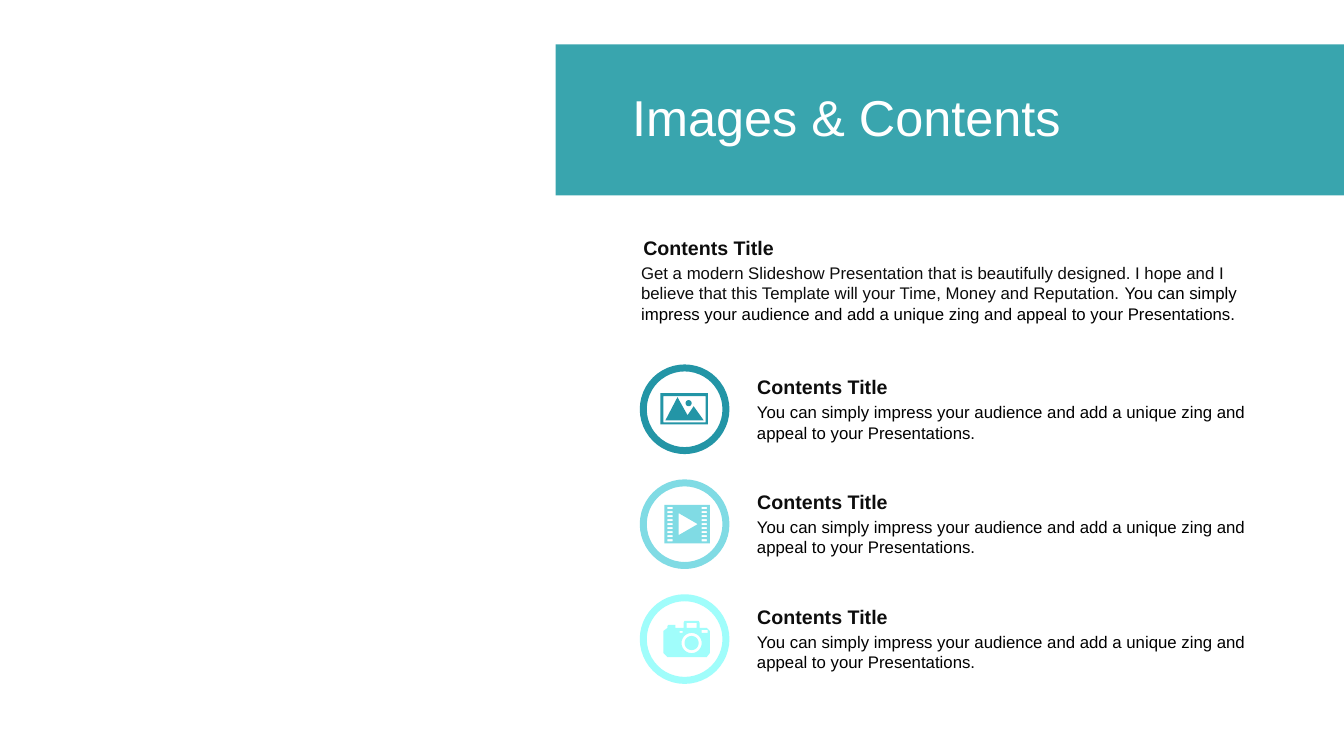
from math import cos, pi, sin

from pptx import Presentation
from pptx.dml.color import RGBColor
from pptx.enum.shapes import MSO_SHAPE
from pptx.enum.text import MSO_ANCHOR, MSO_AUTO_SIZE, PP_ALIGN
from pptx.util import Inches, Pt

COLORS = {
    "band": "39A5AE", "white": "FFFFFF", "heading": "0D0D0D", "body": "000000",
    "photo": "2395A6", "film": "80DBE4", "camera": "A0FDFB",
}
FONT = "Arial"
HEADING = "Contents Title"
INTRO = ("Get a modern Slideshow Presentation that is beautifully designed. "
         "I hope and I believe that this Template will your Time, Money and Reputation. ")
PITCH = ("You can simply impress your audience and add a unique zing "
         "and appeal to your Presentations.")
ICON_LEFT, ICON_TOP, ICON_STEP, ICON_SIZE = 6.38, 3.65, 1.14, 0.82


def rgb(name):
    """Return the palette colour with this name."""
    return RGBColor.from_string(COLORS[name])


def add_run(p, text, size, color, bold=False):
    """Add one formatted run to a paragraph."""
    r = p.add_run()
    r.text = text
    r.font.name, r.font.size, r.font.bold = FONT, Pt(size), bold
    r.font.color.rgb = rgb(color)


def add_filled(s, kind, box, fill, line=None, weight=0):
    """Add a preset shape with a flat fill and an optional outline."""
    sp = s.shapes.add_shape(kind, *map(Inches, box))
    sp.shadow.inherit = False
    sp.fill.solid()
    sp.fill.fore_color.rgb = rgb(fill)
    if line:
        sp.line.color.rgb = rgb(line)
        sp.line.width = Pt(weight)
    else:
        sp.line.fill.background()
    return sp


def add_text(s, box, runs, size, bold=False, inset=0.1):
    """Add a wrapping text box holding one paragraph of (text, color) runs."""
    tf = s.shapes.add_textbox(*map(Inches, box)).text_frame
    tf.word_wrap = True
    tf.auto_size = MSO_AUTO_SIZE.SHAPE_TO_FIT_TEXT
    tf.margin_left = tf.margin_right = Inches(inset)
    for text, color in runs:
        add_run(tf.paragraphs[0], text, size, color, bold)


def add_heading(s, left, top, width):
    """Add a bold contents heading."""
    add_text(s, (left, top, width, 0.34), [(HEADING, "heading")], 14, True, 0.12)


def add_title(s):
    """Format the title placeholder and put its band behind it."""
    title = s.shapes.title
    title.left, title.top = Inches(6.17), Inches(0.8)
    title.width, title.height = Inches(6.53), Inches(0.78)
    tf = title.text_frame
    tf.vertical_anchor = MSO_ANCHOR.MIDDLE
    p = tf.paragraphs[0]
    p.alignment, p.line_spacing = PP_ALIGN.LEFT, 0.9
    add_run(p, "Images & Contents", 36, "white")
    band = add_filled(s, MSO_SHAPE.RECTANGLE, (5.51, 0.44, 7.82, 1.5), "band")
    title.element.addprevious(band.element)


def rect(x1, y1, x2, y2):
    """Return the corners of a rectangle."""
    return [(x1, y1), (x2, y1), (x2, y2), (x1, y2)]


def circle(x, y, radius, steps=36):
    """Return points around a circle."""
    angles = [2 * pi * i / steps for i in range(steps)]
    return [(x + radius * cos(a), y + radius * sin(a)) for a in angles]


def photo_outlines():
    """Return the contours of a framed landscape."""
    mountains = [(0.34, 0.29), (0.44, 0.47), (0.5, 0.38), (0.6, 0.52), (0.22, 0.52)]
    return [rect(0.17, 0.25, 0.64, 0.56), rect(0.2, 0.28, 0.62, 0.54),
            mountains, circle(0.45, 0.35, 0.03)]


def film_outlines():
    """Return the contours of a film frame with a play mark."""
    holes = [rect(x, 0.24 + 0.04 * i, x + 0.05, 0.26 + 0.04 * i)
             for x in (0.24, 0.58) for i in range(9)]
    play = [(0.35, 0.3), (0.35, 0.52), (0.54, 0.41)]
    return [rect(0.21, 0.22, 0.66, 0.6), play, *holes]


def camera_outlines():
    """Return the contours of a camera."""
    body = [(0.41, 0.23), (0.55, 0.23), (0.56, 0.25), (0.56, 0.3), (0.63, 0.3),
            (0.66, 0.33), (0.66, 0.55), (0.63, 0.59), (0.24, 0.59), (0.2, 0.55),
            (0.2, 0.33), (0.24, 0.3), (0.24, 0.28), (0.25, 0.27), (0.32, 0.27),
            (0.32, 0.3), (0.4, 0.3), (0.4, 0.25)]
    return [body, circle(0.48, 0.45, 0.1), circle(0.48, 0.45, 0.07),
            rect(0.36, 0.33, 0.39, 0.35), rect(0.58, 0.32, 0.64, 0.35),
            rect(0.43, 0.25, 0.53, 0.3)]


def add_icon(s, outlines, left, top, color):
    """Draw contours as one freeform whose inner contours are cut out."""
    builder = None
    for outline in outlines:
        points = [(Inches(left + x), Inches(top + y)) for x, y in outline]
        if builder is None:
            builder = s.shapes.build_freeform(*points[0])
        else:
            builder.move_to(*points[0])
        builder.add_line_segments(points[1:], close=True)
    sp = builder.convert_to_shape()
    sp.shadow.inherit = False
    sp.fill.solid()
    sp.fill.fore_color.rgb = rgb(color)
    sp.line.fill.background()


def add_item(s, top, color, outlines):
    """Add a ringed icon with its heading and text."""
    ring = (ICON_LEFT, top, ICON_SIZE, ICON_SIZE)
    add_filled(s, MSO_SHAPE.OVAL, ring, "white", color, 5)
    add_icon(s, outlines, ICON_LEFT, top, color)
    add_text(s, (7.41, top + 0.29, 5.17, 0.5), [(PITCH, "body")], 12)
    add_heading(s, 7.39, top + 0.02, 5.2)


def main():
    """Build and save the slide."""
    prs = Presentation()
    prs.slide_width, prs.slide_height = Inches(13.33), Inches(7.5)
    s = prs.slides.add_slide(prs.slide_layouts[5])
    add_title(s)
    add_text(s, (6.26, 2.56, 6.29, 0.71), [(INTRO, "heading"), (PITCH, "body")], 12)
    add_heading(s, 6.26, 2.29, 6.29)
    items = [("photo", photo_outlines()), ("film", film_outlines()),
             ("camera", camera_outlines())]
    for i, (color, outlines) in enumerate(items):
        add_item(s, ICON_TOP + ICON_STEP * i, color, outlines)
    prs.save("out.pptx")


if __name__ == "__main__":
    main()
